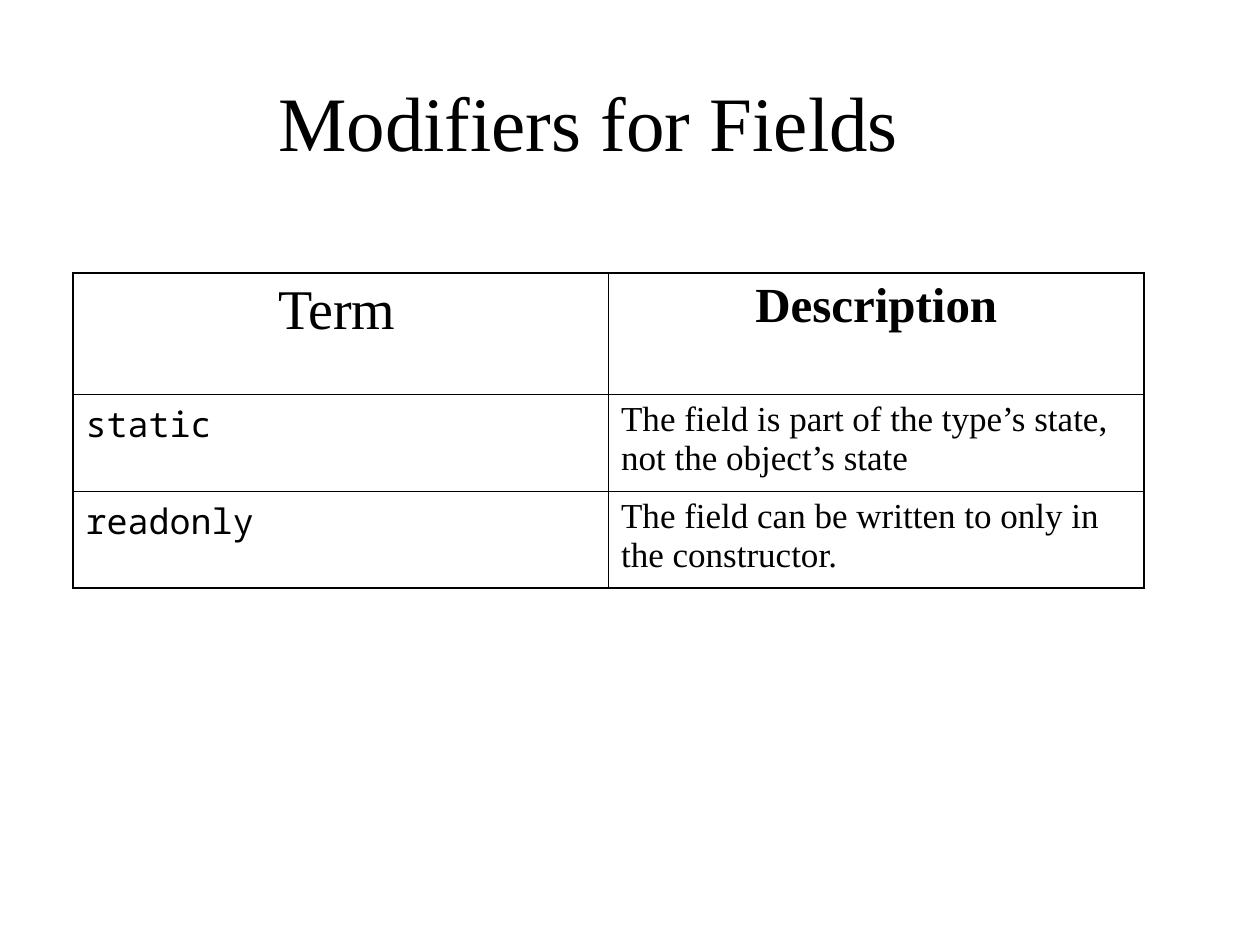
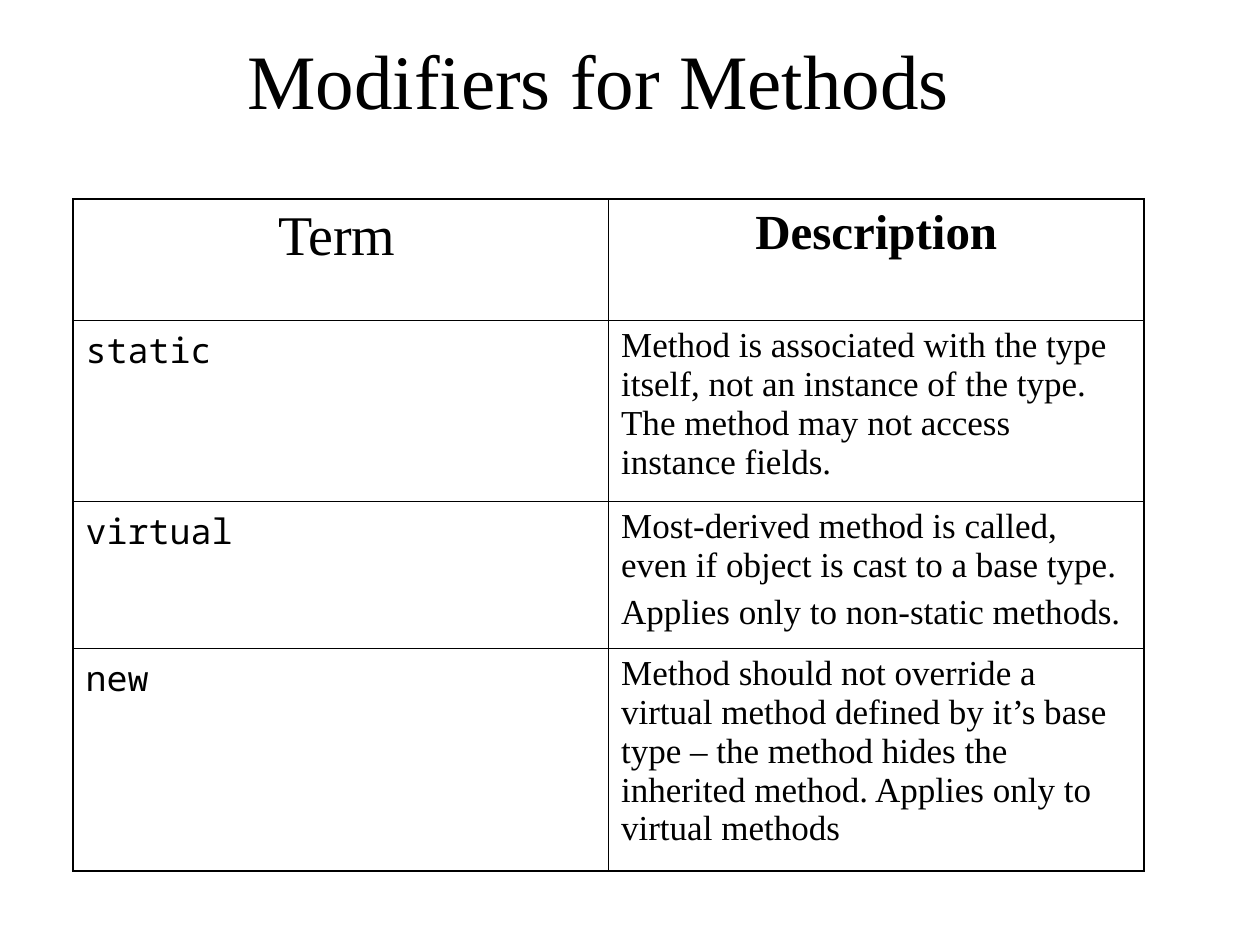
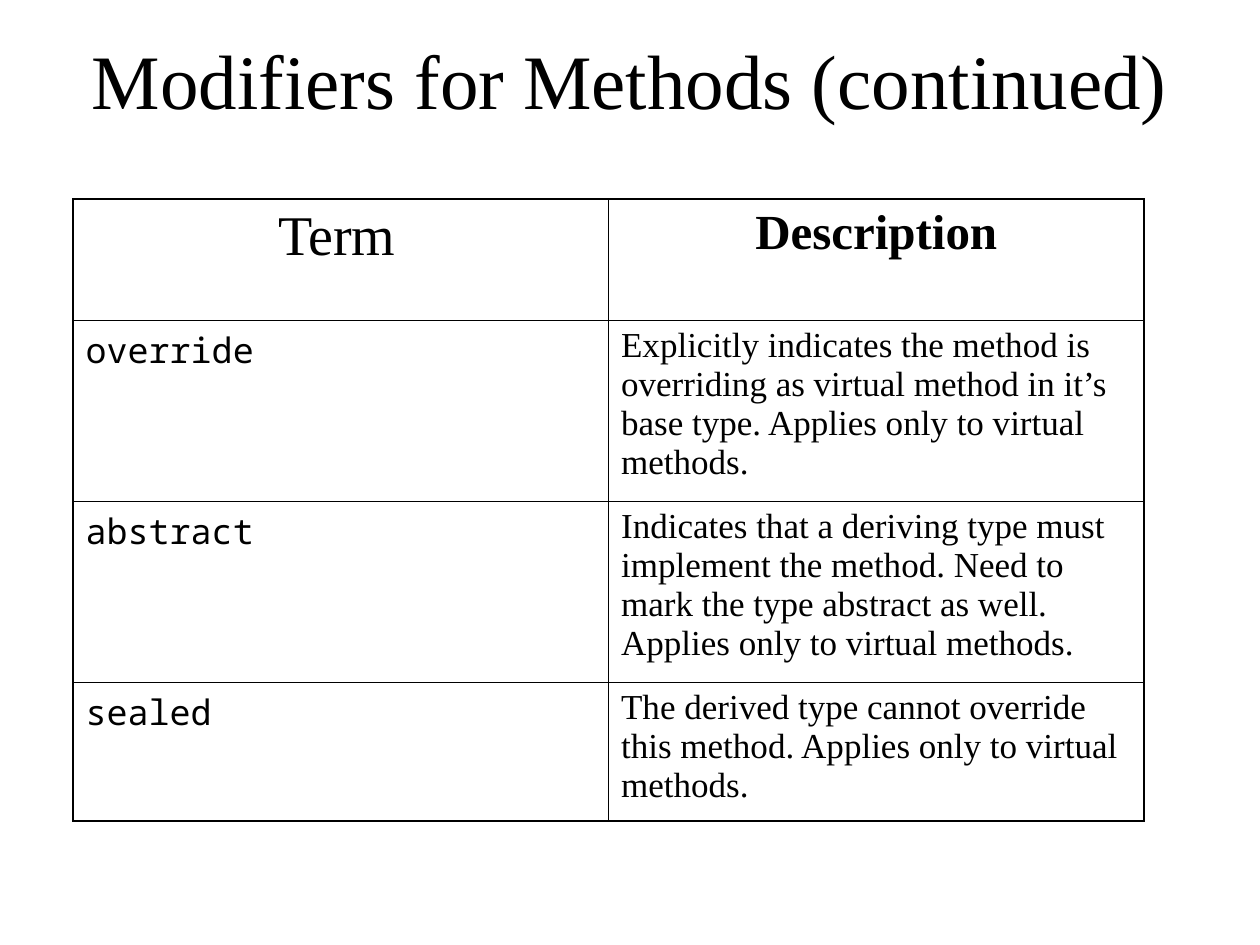
"""Build three slides that tabulate modifiers for fields and methods."""
from dataclasses import dataclass

from lxml import etree
from pptx import Presentation
from pptx import util as u
from pptx.dml.color import RGBColor
from pptx.enum import text
from pptx.oxml.ns import qn

SLIDES = [
    {
        "title": "Modifiers for Fields",
        "title_box": (53, 42, 1071, 158),
        "table_top": 273,
        "rows": [
            (97, "static", ["The field is part of the type’s state, not the object’s state"]),
            (97, "readonly", ["The field can be written to only in the constructor."]),
        ],
    },
    {
        "title": "Modifiers for Methods",
        "title_box": (63, 0, 1071, 158),
        "table_top": 199,
        "rows": [
            (181, "static", ["Method is associated with the type itself, not an instance of the type. "
                             "The method may not access instance fields."]),
            (147, "virtual", ["Most-derived method is called, even if object is cast to a base type.",
                              "Applies only to non-static methods."]),
            (223, "new", ["Method should not override a virtual method defined by it’s base type – "
                          "the method hides the inherited method. Applies only to virtual methods"]),
        ],
    },
    {
        "title": "Modifiers for Methods (continued)",
        "title_box": (0, 0, 1260, 158),
        "table_top": 199,
        "rows": [
            (181, "override", ["Explicitly indicates the method is overriding as virtual method in "
                               "it’s base type. Applies only to virtual methods."]),
            (181, "abstract", ["Indicates that a deriving type must implement the method. Need to "
                               "mark the type abstract as well. Applies only to virtual methods."]),
            (139, "sealed", ["The derived type cannot override this method. "
                             "Applies only to virtual methods."]),
        ],
    },
]
PAGE_SIZE = (1260, 945)
TABLE_LEFT, TABLE_WIDTH, HEADER_HEIGHT = 73, 1071, 121


@dataclass(frozen=True)
class Theme:
    """Colours, fonts, type sizes and line widths."""
    ink: str = "000000"
    paper: str = "FFFFFF"
    serif: str = "Times New Roman"
    mono: str = "Noto Sans Mono"
    title: int = 44
    term_head: int = 32
    description_head: int = 28
    body: int = 20
    gap: int = 18
    paragraph_space: int = 5
    outer_line: float = 1.08
    inner_line: float = 0.45


THEME = Theme()


def px(length):
    """Turn pixels into EMU."""
    return round(length * 914400 / 126)


def write(para, words, size=THEME.body, font=THEME.serif, bold=False, align=text.PP_ALIGN.LEFT):
    """Add one formatted run to a paragraph."""
    para.alignment = align
    span = para.add_run()
    span.text = words
    span.font.size = u.Pt(size)
    span.font.name = font
    span.font.bold = bold
    span.font.color.rgb = RGBColor.from_string(THEME.ink)


def draw_borders(cell, outer_sides):
    """Rule all four sides of a cell, heavier on the sides at the table edge."""
    properties = cell._tc.get_or_add_tcPr()
    for place, side in enumerate("LRTB"):
        width = THEME.outer_line if side in outer_sides else THEME.inner_line
        line = etree.Element(qn(f"a:ln{side}"), w=str(u.Pt(width)))
        fill = etree.SubElement(line, qn("a:solidFill"))
        etree.SubElement(fill, qn("a:srgbClr"), val=THEME.ink)
        properties.insert(place, line)


def add_title(page, words, place):
    """Move, fill and format the title placeholder."""
    box = page.shapes.title
    box.left, box.top, box.width, box.height = map(px, place)
    frame = box.text_frame
    frame.word_wrap = True
    frame.auto_size = text.MSO_AUTO_SIZE.NONE
    frame.vertical_anchor = text.MSO_ANCHOR.MIDDLE
    write(frame.paragraphs[0], words, size=THEME.title, align=text.PP_ALIGN.CENTER)


def add_modifier_table(page, top, entries):
    """Add a table of terms and descriptions under a header row."""
    heights = [HEADER_HEIGHT] + [height for height, _, _ in entries]
    table = page.shapes.add_table(len(heights), 2, px(TABLE_LEFT), px(top),
                                  px(TABLE_WIDTH), px(sum(heights))).table
    table.first_row = table.horz_banding = False
    for row, height in zip(table.rows, heights):
        row.height = px(height)
    last = len(heights) - 1
    for index in range(len(heights)):
        for column, side in enumerate("LR"):
            cell = table.cell(index, column)
            cell.fill.background()
            draw_borders(cell, side + "T" * (index == 0) + "B" * (index == last))

    center = text.PP_ALIGN.CENTER
    term_head = table.cell(0, 0).text_frame.paragraphs[0]
    write(term_head, "Term", size=THEME.term_head, align=center)
    write(term_head, " ", size=THEME.gap, align=center)
    write(table.cell(0, 1).text_frame.paragraphs[0], "Description",
          size=THEME.description_head, bold=True, align=center)

    for index, (_, term, descriptions) in enumerate(entries, 1):
        write(table.cell(index, 0).text_frame.paragraphs[0], term, font=THEME.mono)
        frame = table.cell(index, 1).text_frame
        write(frame.paragraphs[0], descriptions[0])
        for description in descriptions[1:]:
            para = frame.add_paragraph()
            para.space_before = u.Pt(THEME.paragraph_space)
            write(para, description)


def main():
    """Build and save the deck."""
    deck = Presentation()
    deck.slide_width, deck.slide_height = map(px, PAGE_SIZE)
    background = deck.slide_master.background.fill
    background.solid()
    background.fore_color.rgb = RGBColor.from_string(THEME.paper)
    for content in SLIDES:
        page = deck.slides.add_slide(deck.slide_layouts[5])
        add_title(page, content["title"], content["title_box"])
        add_modifier_table(page, content["table_top"], content["rows"])
    deck.save("out.pptx")


if __name__ == "__main__":
    main()
